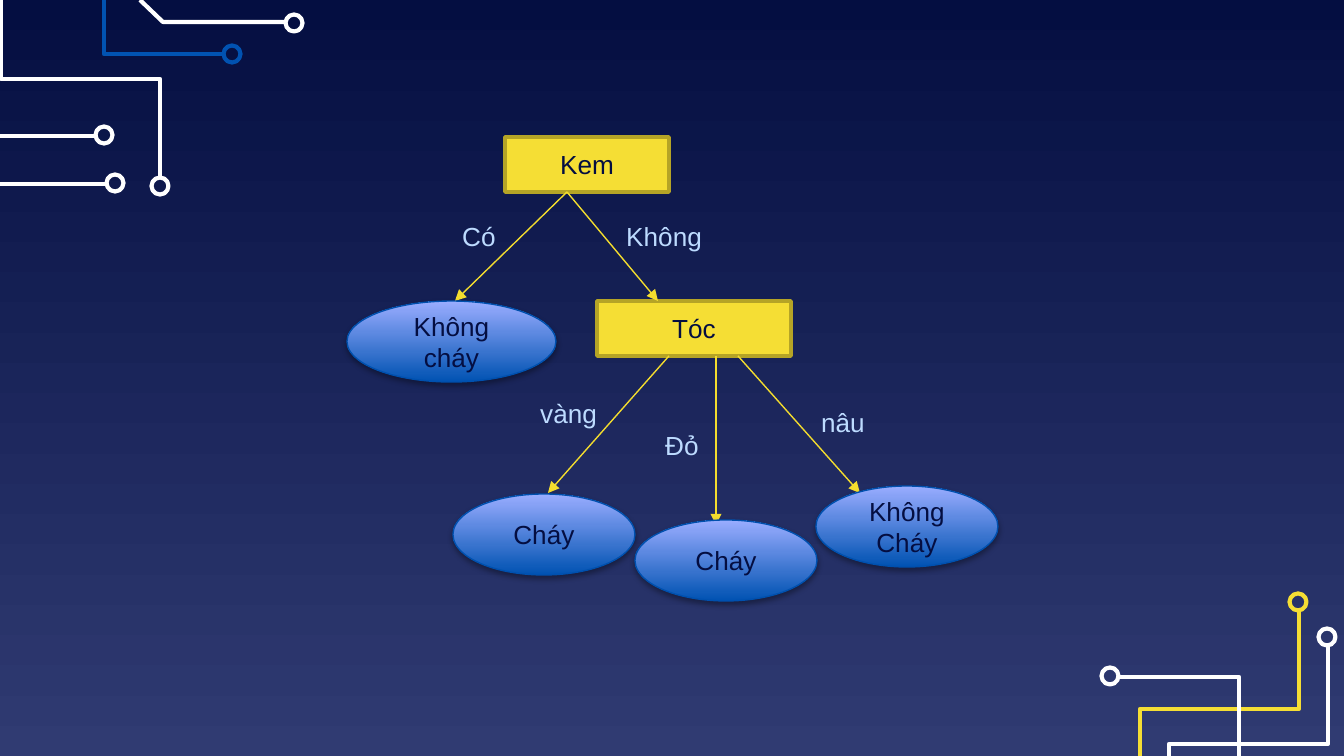
from lxml import etree
from pptx import Presentation
from pptx.dml.color import RGBColor
from pptx.enum.shapes import MSO_CONNECTOR, MSO_SHAPE
from pptx.enum.text import MSO_ANCHOR, PP_ALIGN
from pptx.oxml.ns import qn
from pptx.util import Emu, Pt

PX = 914400 / 134.4
RECT, OVAL = MSO_SHAPE.RECTANGLE, MSO_SHAPE.OVAL
STRAIGHT = MSO_CONNECTOR.STRAIGHT
MIDDLE = MSO_ANCHOR.MIDDLE
LEFT, CENTER = PP_ALIGN.LEFT, PP_ALIGN.CENTER
NAVY, YELLOW, WHITE, BLUE = "040E41", "F5DE34", "FFFFFF", "0152B1"
RING = 17

TRACES = [
    (BLUE, [(224, 54), (104, 54), (104, 0)], (232, 54)),
    (WHITE, [(160, 178), (160, 79), (1, 79), (1, 0)], (160, 186)),
    (WHITE, [(96, 136), (0, 136)], (104, 135)),
    (WHITE, [(107, 184), (0, 184)], (115, 183)),
    (WHITE, [(287, 22), (163, 22), (140, 0)], (294, 23)),
    (YELLOW, [(1299, 610), (1299, 709), (1140, 709), (1140, 756)], (1298, 602)),
    (WHITE, [(1118, 677), (1239, 677), (1239, 756)], (1110, 676)),
    (WHITE, [(1328, 645), (1328, 744), (1169, 744), (1169, 756)], (1327, 637)),
]
QUESTIONS = [("Kem", 505, 137, 164), ("Tóc", 597, 301, 194)]
ARROWS = [
    (567, 192, 455, 301),
    (567, 192, 658, 301),
    (669, 356, 548, 493),
    (716, 356, 716, 525),
    (738, 356, 860, 493),
]
LABELS = [
    ("Có", 449, 214, 60),
    ("Không", 613, 214, 103),
    ("vàng", 527, 391, 85),
    ("Đỏ", 652, 423, 60),
    ("nâu", 808, 400, 71),
]
ANSWERS = [
    ("Không cháy", 347, 301, 209),
    ("Cháy", 453, 494, 182),
    ("Cháy", 635, 520, 182),
    ("Không Cháy", 816, 486, 182),
]


def px(*values):
    return [Emu(round(v * PX)) for v in values]


def rgb(color):
    return RGBColor.from_string(color)


def set_line(shape, color, width):
    shape.line.color.rgb = rgb(color)
    shape.line.width = Pt(width)


def set_gradient(fill, first, last, angle):
    fill.gradient()
    fill.gradient_angle = angle
    for stop, color in zip(fill.gradient_stops, (first, last)):
        stop.color.rgb = rgb(color)


def set_text(shape, text, color, align):
    tf = shape.text_frame
    tf.text = text
    p = tf.paragraphs[0]
    p.alignment = align
    font = p.runs[0].font
    font.name = "Arial"
    font.size = Pt(14)
    font.color.rgb = rgb(color)
    return tf


def add_trace(s, color, points, center):
    builder = s.shapes.build_freeform(*points[0], scale=PX)
    builder.add_line_segments(points[1:], close=False)
    x, y = center
    ring = s.shapes.add_shape(OVAL, *px(x - RING / 2, y - RING / 2, RING, RING))
    for shape in (builder.convert_to_shape(), ring):
        shape.shadow.inherit = False
        shape.fill.background()
        set_line(shape, color, 2.25)


def add_node(s, kind, text, x, y, w, h):
    sp = s.shapes.add_shape(kind, *px(x, y, w, h))
    sp.shadow.inherit = False
    tf = set_text(sp, text, NAVY, CENTER)
    tf.word_wrap = True
    tf.vertical_anchor = MIDDLE
    return sp


def add_question(s, text, x, y, w):
    sp = add_node(s, RECT, text, x, y, w, 55)
    sp.fill.solid()
    sp.fill.fore_color.rgb = rgb(YELLOW)
    set_line(sp, "B5A426", 2)


def add_answer(s, text, x, y, w):
    sp = add_node(s, OVAL, text, x, y, w, 81)
    set_gradient(sp.fill, "0052B2", "9AADFF", 90)
    set_line(sp, "0050AE", 0.75)
    effects = sp._element.spPr.find(qn("a:effectLst"))
    shadow = etree.SubElement(effects, qn("a:outerShdw"), blurRad=str(Pt(3.1)),
                              dist=str(Pt(1.8)), dir="5400000", rotWithShape="0")
    color = etree.SubElement(shadow, qn("a:srgbClr"), val="000000")
    etree.SubElement(color, qn("a:alpha"), val="35000")


def add_arrow(s, *ends):
    line = s.shapes.add_connector(STRAIGHT, *px(*ends))
    set_line(line, "F4DD2E", 0.75)
    etree.SubElement(line.line._get_or_add_ln(), qn("a:tailEnd"), type="triangle")
    etree.SubElement(line._element.spPr, qn("a:effectLst"))


def add_label(s, text, x, y, w):
    box = s.shapes.add_textbox(*px(x, y, w, 46))
    set_text(box, text, "BDDBFF", LEFT).word_wrap = False


def main():
    prs = Presentation()
    prs.slide_width, prs.slide_height = px(1344, 756)
    s = prs.slides.add_slide(prs.slide_layouts[6])
    set_gradient(s.background.fill, NAVY, "303B72", 270)
    for add, items in (
        (add_trace, TRACES),
        (add_question, QUESTIONS),
        (add_arrow, ARROWS),
        (add_label, LABELS),
        (add_answer, ANSWERS),
    ):
        for item in items:
            add(s, *item)
    prs.save("out.pptx")


if __name__ == "__main__":
    main()
